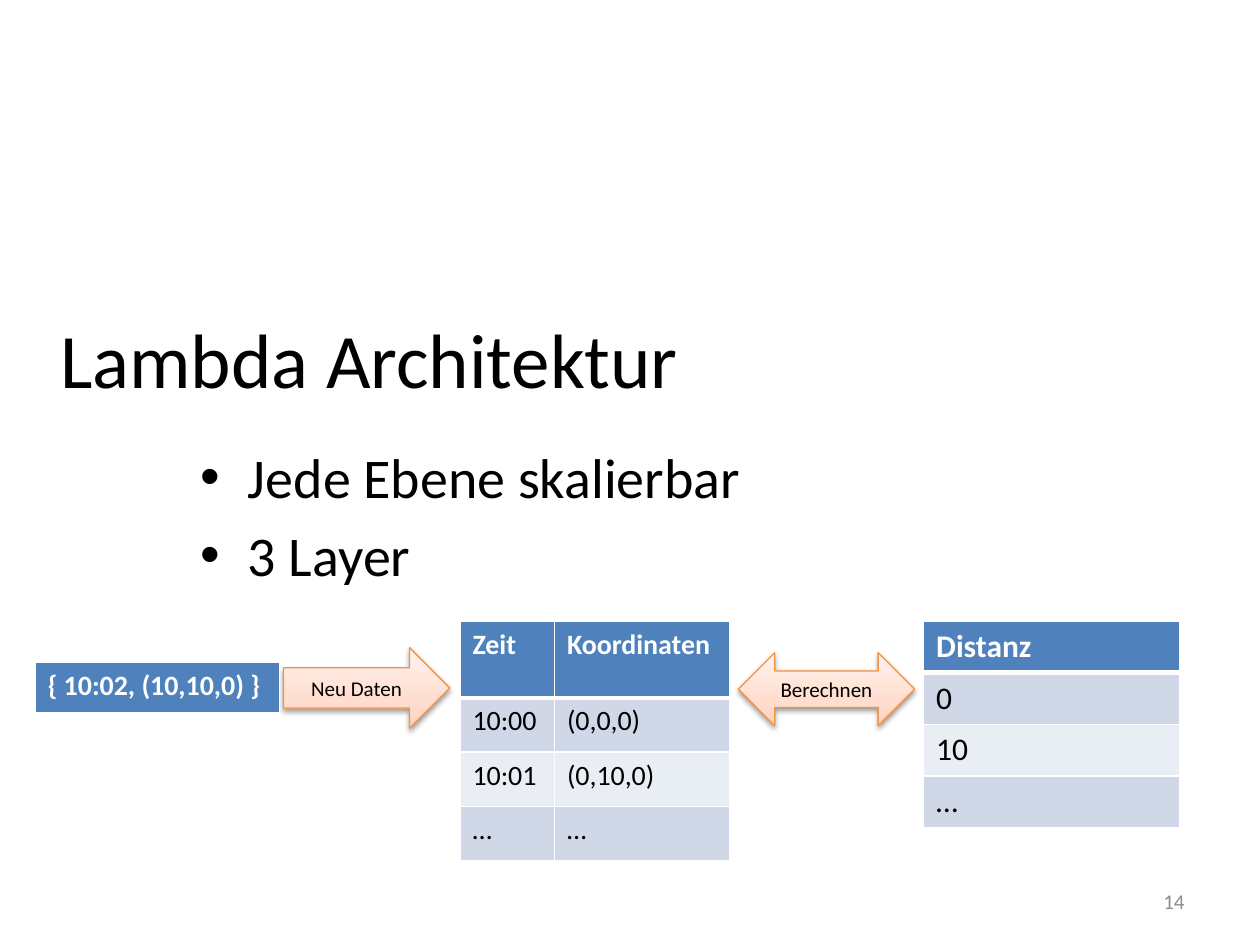
from dataclasses import dataclass

from pptx import Presentation
from pptx.dml.color import RGBColor
from pptx.enum.shapes import MSO_SHAPE as Shape
from pptx.enum.text import MSO_ANCHOR as Anchor, PP_ALIGN as Align
from pptx.oxml import parse_xml
from pptx.oxml.ns import nsdecls, qn
from pptx.util import Inches, Pt


@dataclass(frozen=True)
class Theme:
    font: str = "Calibri"
    text: str = "000000"
    inverse: str = "FFFFFF"
    muted: str = "8C8C8C"
    header: str = "4F81BD"
    bands: tuple = ("D0D8E8", "E9EDF4")
    arrow_line: str = "F69240"
    arrow_stops: tuple = ((0, "FFD2BD"), (35, "FFDED0"), (100, "FFF2ED"))
    title_size: int = 44
    body_size: int = 32
    small_size: int = 12


class SlideBuilder:
    def __init__(self, slide, theme):
        self.slide = slide
        self.theme = theme

    def style(self, paragraph, size, color=None, bold=False, align=Align.LEFT):
        paragraph.alignment = align
        font = paragraph.font
        font.name, font.size, font.bold = self.theme.font, Pt(size), bold
        font.color.rgb = RGBColor.from_string(color or self.theme.text)

    def text(self, box, lines, size, color=None, align=Align.LEFT,
             anchor=Anchor.MIDDLE, bullets=False):
        frame = self.slide.shapes.add_textbox(*map(Inches, box)).text_frame
        frame.word_wrap = True
        frame.vertical_anchor = anchor
        frame.text = "\n".join(lines)
        for paragraph in frame.paragraphs:
            self.style(paragraph, size, color, align=align)
            if bullets:
                self.bullet(paragraph, size)

    def bullet(self, paragraph, size):
        paragraph.space_before = Pt(size * 0.2)
        props = paragraph._p.get_or_add_pPr()
        indent = Inches(0.38)
        props.set("marL", str(indent))
        props.set("indent", str(-indent))
        # Bullet elements come before the default run properties
        marks = (f'<a:buFont {nsdecls("a")} typeface="Arial"/>',
                 f'<a:buChar {nsdecls("a")} char="•"/>')
        for mark in marks:
            props.insert_element_before(parse_xml(mark), "a:tabLst", "a:defRPr")

    def arrow(self, kind, box, label):
        shape = self.slide.shapes.add_shape(kind, *map(Inches, box))
        stops = "".join(
            f'<a:gs pos="{pos * 1000}"><a:srgbClr val="{color}"/></a:gs>'
            for pos, color in self.theme.arrow_stops)
        props = shape._element.spPr
        props.append(parse_xml(
            f'<a:gradFill {nsdecls("a")} rotWithShape="1"><a:gsLst>{stops}</a:gsLst>'
            '<a:lin ang="16200000" scaled="0"/></a:gradFill>'))
        shape.line.color.rgb = RGBColor.from_string(self.theme.arrow_line)
        shape.line.width = Pt(0.75)
        shape.shadow.inherit = False
        props.find(qn("a:effectLst")).append(parse_xml(
            f'<a:outerShdw {nsdecls("a")} blurRad="{Pt(3.1)}" dist="{Pt(1.6)}" '
            'dir="5400000" rotWithShape="0"><a:srgbClr val="000000">'
            '<a:alpha val="38000"/></a:srgbClr></a:outerShdw>'))
        frame = shape.text_frame
        frame.text = label
        frame.vertical_anchor = Anchor.MIDDLE
        self.style(frame.paragraphs[0], self.theme.small_size, align=Align.CENTER)

    def borders(self, cell, row):
        props = cell._tc.get_or_add_tcPr()
        widths = {"L": 1, "R": 1, "T": 3 if row == 1 else 1, "B": 3 if row == 0 else 1}
        for side, width in widths.items():
            props.append(parse_xml(
                f'<a:ln{side} {nsdecls("a")} w="{Pt(width)}"><a:solidFill>'
                f'<a:srgbClr val="{self.theme.inverse}"/></a:solidFill></a:ln{side}>'))

    def table(self, left, top, widths, heights, rows, size):
        table = self.slide.shapes.add_table(
            len(rows), len(widths), Inches(left), Inches(top),
            Inches(sum(widths)), Inches(sum(heights))).table
        for column, width in zip(table.columns, widths):
            column.width = Inches(width)
        for r, (values, height) in enumerate(zip(rows, heights)):
            table.rows[r].height = Inches(height)
            is_header = r == 0
            fill = self.theme.header if is_header else self.theme.bands[(r - 1) % 2]
            color = self.theme.inverse if is_header else self.theme.text
            for c, value in enumerate(values):
                cell = table.cell(r, c)
                self.borders(cell, r)
                cell.fill.solid()
                cell.fill.fore_color.rgb = RGBColor.from_string(fill)
                cell.text = value
                self.style(cell.text_frame.paragraphs[0], size, color, is_header)


def main():
    deck = Presentation()
    deck.slide_width, deck.slide_height = Inches(10), Inches(7.5)
    theme = Theme()
    builder = SlideBuilder(deck.slides.add_slide(deck.slide_layouts[6]), theme)

    # Title, key points and page number
    builder.text((0.38, 2.21, 6.08, 1.25), ["Lambda Architektur"], theme.title_size)
    builder.text((1.49, 3.46, 9, 4.95), ["Jede Ebene skalierbar", "3 Layer"],
                 theme.body_size, anchor=Anchor.TOP, bullets=True)
    builder.text((7.17, 6.95, 2.33, 0.4), ["14"], theme.small_size,
                 theme.muted, Align.RIGHT)

    # Data flow: new record, stored coordinates, computed distance
    builder.arrow(Shape.RIGHT_ARROW, (2.25, 5.14, 1.32, 0.64), "Neu Daten")
    coordinates = [("Zeit", "Koordinaten"), ("10:00", "(0,0,0)"),
                   ("10:01", "(0,10,0)"), ("…", "…")]
    builder.table(3.65, 4.93, [0.75, 1.39], [0.61] + [0.43] * 3, coordinates, 16)
    builder.table(0.28, 5.26, [1.94], [0.41], [("{ 10:02, (10,10,0) }",)], 16)
    distances = [("Distanz",), ("0",), ("10",), ("…",)]
    builder.table(7.33, 4.93, [2.03], [0.41] * 4, distances, 18)
    builder.arrow(Shape.LEFT_RIGHT_ARROW, (5.86, 5.18, 1.4, 0.58), "Berechnen")

    deck.save("out.pptx")


if __name__ == "__main__":
    main()
